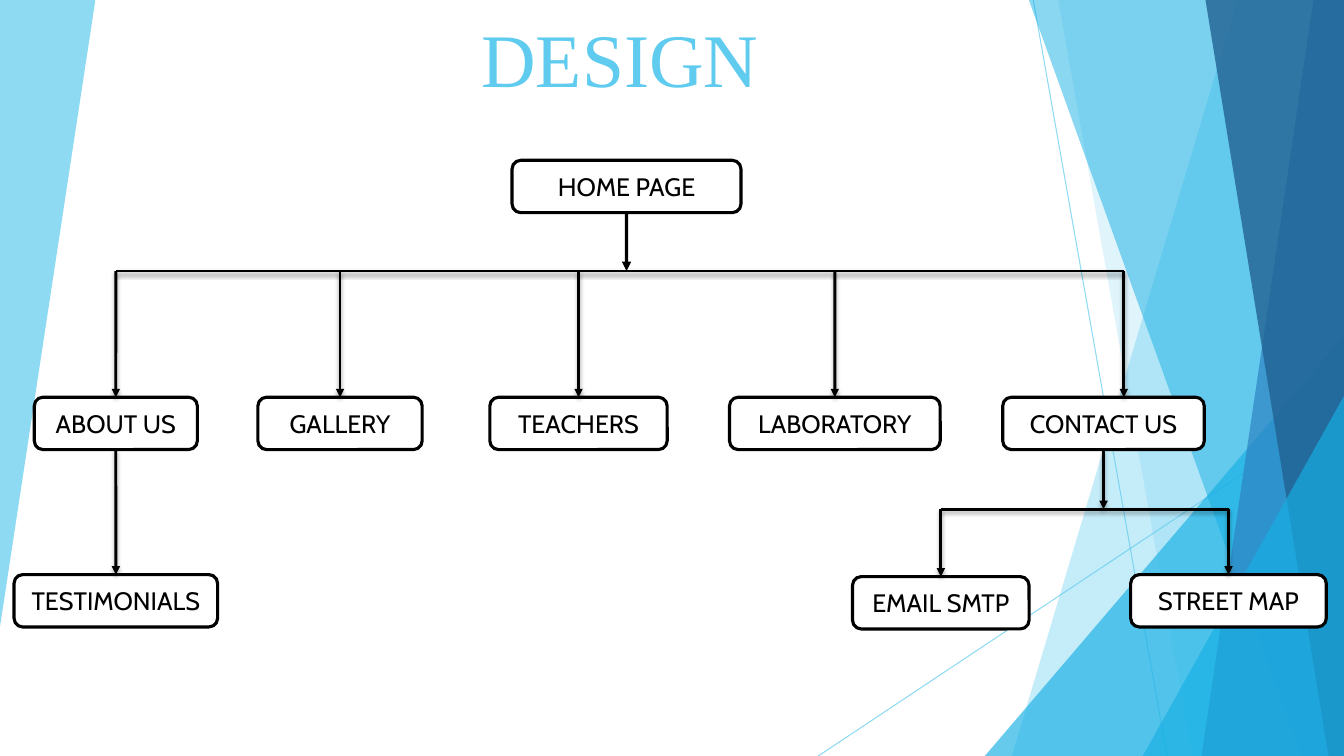
from lxml import etree
from pptx import Presentation
from pptx import util as u
from pptx.dml.color import RGBColor
from pptx.enum import shapes, text
from pptx.oxml import ns

SKY = RGBColor(0x5F, 0xCB, 0xEF)
CYAN = RGBColor(0x17, 0xB0, 0xE4)
BLUE = RGBColor(0x2E, 0x83, 0xC3)
NAVY = RGBColor(0x22, 0x62, 0x92)
BLACK = RGBColor(0, 0, 0)
WHITE = RGBColor(255, 255, 255)

# Content, lengths in cm
WIDTH, HEIGHT = 33.87, 19.05
TITLE = "DESIGN"
TITLE_AREA = (4.83, 0, 21.59, 2.72)

# Backdrop: colour, opacity %, points (2 = line, 3 = right triangle, 4 = facet)
BACKDROP = [
    (SKY, 70, [(0, 0), (2.4, 0), (2.4, 0.03), (0, 15.8)]),
    (SKY, 70, [(26.04, 0), (29.41, HEIGHT)]),
    (SKY, 70, [(WIDTH, 10.24), (20.62, HEIGHT)]),
    (SKY, 36, [(31.19, 0), (WIDTH, 0), (WIDTH, HEIGHT), (25.5, HEIGHT)]),
    (SKY, 20, [(26.67, 0), (WIDTH, 0), (WIDTH, HEIGHT), (30.05, HEIGHT)]),
    (CYAN, 66, [(WIDTH, 8.46), (WIDTH, HEIGHT), (24.82, HEIGHT)]),
    (CYAN, 50, [(25.93, 0), (WIDTH, 0), (WIDTH, HEIGHT), (32.79, HEIGHT)]),
    (BLUE, 70, [(33.1, 0), (WIDTH, 0), (WIDTH, HEIGHT), (30.28, HEIGHT)]),
    (NAVY, 80, [(30.38, 0), (WIDTH, 0), (WIDTH, HEIGHT), (33.48, HEIGHT)]),
    (CYAN, 66, [(WIDTH, 9.98), (WIDTH, HEIGHT), (28.8, HEIGHT)]),
]

# Site map: name -> centre x, top, width
BOX_HEIGHT = 1.32
BOXES = {
    "HOME PAGE": (15.79, 4.04, 5.77),
    "ABOUT US": (2.92, 10.01, 4.11),
    "GALLERY": (8.57, 10.01, 4.14),
    "TEACHERS": (14.58, 10.01, 4.47),
    "LABORATORY": (21.04, 10.01, 5.31),
    "CONTACT US": (27.81, 10.01, 5.08),
    "TESTIMONIALS": (2.92, 14.48, 5.13),
    "EMAIL SMTP": (23.71, 14.53, 4.45),
    "STREET MAP": (30.96, 14.48, 4.93),
}
MAIN_BUS, CONTACT_BUS = 6.83, 12.83
CONTACT_DROP = 28.32
BUSES = [(2.92, CONTACT_DROP, MAIN_BUS), (23.71, 30.96, CONTACT_BUS)]

# Arrows: start and end, each a box name or the height of a bus
ARROWS = [
    ("HOME PAGE", MAIN_BUS),
    (MAIN_BUS, "ABOUT US"),
    (MAIN_BUS, "GALLERY"),
    (MAIN_BUS, "TEACHERS"),
    (MAIN_BUS, "LABORATORY"),
    ("CONTACT US", CONTACT_BUS),
    (CONTACT_BUS, "EMAIL SMTP"),
    (CONTACT_BUS, "STREET MAP"),
    ("ABOUT US", "TESTIMONIALS"),
]


def apply(target, formats):
    for name, value in formats.items():
        setattr(target, name, value)


def set_opacity(fill, percent):
    color = fill._xPr.find(".//" + ns.qn("a:srgbClr"))
    etree.SubElement(color, ns.qn("a:alpha"), val=str(percent * 1000))


def add_line(start, end, color=BLACK, width=2, arrow=False, shadow=True):
    line = page.shapes.add_connector(
        shapes.MSO_CONNECTOR.STRAIGHT, *[u.Cm(v) for v in (*start, *end)])
    line.line.color.rgb = color
    line.line.width = u.Pt(width)
    properties = line._element.spPr
    if arrow:
        etree.SubElement(properties.find(ns.qn("a:ln")), ns.qn("a:tailEnd"), type="triangle")
    effects = etree.SubElement(properties, ns.qn("a:effectLst"))
    if shadow:
        outer = etree.SubElement(effects, ns.qn("a:outerShdw"), blurRad=str(u.Pt(3)),
                                 dist=str(u.Pt(2)), dir="5400000", rotWithShape="0")
        black = etree.SubElement(outer, ns.qn("a:srgbClr"), val=str(BLACK))
        etree.SubElement(black, ns.qn("a:alpha"), val="35000")
    return line


def add_facet(points):
    if len(points) == 3:
        (right, top), _, (left, bottom) = points
        facet = page.shapes.add_shape(
            shapes.MSO_SHAPE.ISOSCELES_TRIANGLE,
            *[u.Cm(v) for v in (left, top, right - left, bottom - top)])
        facet.adjustments[0] = 1
        return facet
    corners = [(u.Cm(x), u.Cm(y)) for x, y in points]
    builder = page.shapes.build_freeform(*corners[0])
    builder.add_line_segments(corners[1:])
    return builder.convert_to_shape()


deck = Presentation()
deck.slide_width, deck.slide_height = u.Cm(WIDTH), u.Cm(HEIGHT)
page = deck.slides.add_slide(deck.slide_layouts[5])

# Backdrop
for color, opacity, points in BACKDROP:
    if len(points) == 2:
        ray = add_line(*points, color=color, width=0.75, shadow=False)
        set_opacity(ray.line.fill, opacity)
        continue
    facet = add_facet(points)
    facet.shadow.inherit = False
    facet.fill.solid()
    facet.fill.fore_color.rgb = color
    set_opacity(facet.fill, opacity)
    facet.line.fill.background()

# Title
title = page.shapes.title
apply(title, dict(zip(("left", "top", "width", "height"), map(u.Cm, TITLE_AREA))))
title.text_frame.text = TITLE
title.text_frame.vertical_anchor = text.MSO_ANCHOR.BOTTOM
para = title.text_frame.paragraphs[0]
para.alignment = text.PP_ALIGN.CENTER
apply(para.runs[0].font, {"name": "Times New Roman", "size": u.Pt(54)})
para.runs[0].font.color.rgb = SKY

# Boxes
boxes = {}
for name, (center, top, width) in BOXES.items():
    box = boxes[name] = page.shapes.add_shape(
        shapes.MSO_SHAPE.ROUNDED_RECTANGLE,
        *[u.Cm(v) for v in (center - width / 2, top, width, BOX_HEIGHT)])
    box.shadow.inherit = False
    box.fill.solid()
    box.fill.fore_color.rgb = WHITE
    box.line.color.rgb = BLACK
    box.line.width = u.Pt(2.25)
    apply(box.text_frame, {"text": name, "word_wrap": True,
                           "vertical_anchor": text.MSO_ANCHOR.MIDDLE})
    para = box.text_frame.paragraphs[0]
    para.alignment = text.PP_ALIGN.CENTER
    apply(para.runs[0].font, {"name": "Cabin", "size": u.Pt(18)})
    para.runs[0].font.color.rgb = BLACK

# Buses, and the drop that lands right of the middle of its box
for left, right, height in BUSES:
    add_line((left, height), (right, height))
add_line((CONTACT_DROP, MAIN_BUS), (CONTACT_DROP, BOXES["CONTACT US"][1]), arrow=True)

# Arrows
for start, end in ARROWS:
    x = BOXES[start if start in BOXES else end][0]
    y_start = BOXES[start][1] + BOX_HEIGHT if start in BOXES else start
    y_end = BOXES[end][1] if end in BOXES else end
    root = start == "HOME PAGE"
    arrow = add_line((x, y_start), (x, y_end), width=2.25 if root else 2,
                     arrow=True, shadow=not root)
    if start in boxes:
        arrow.begin_connect(boxes[start], 2)
    if end in boxes:
        arrow.end_connect(boxes[end], 0)

deck.save("out.pptx")
